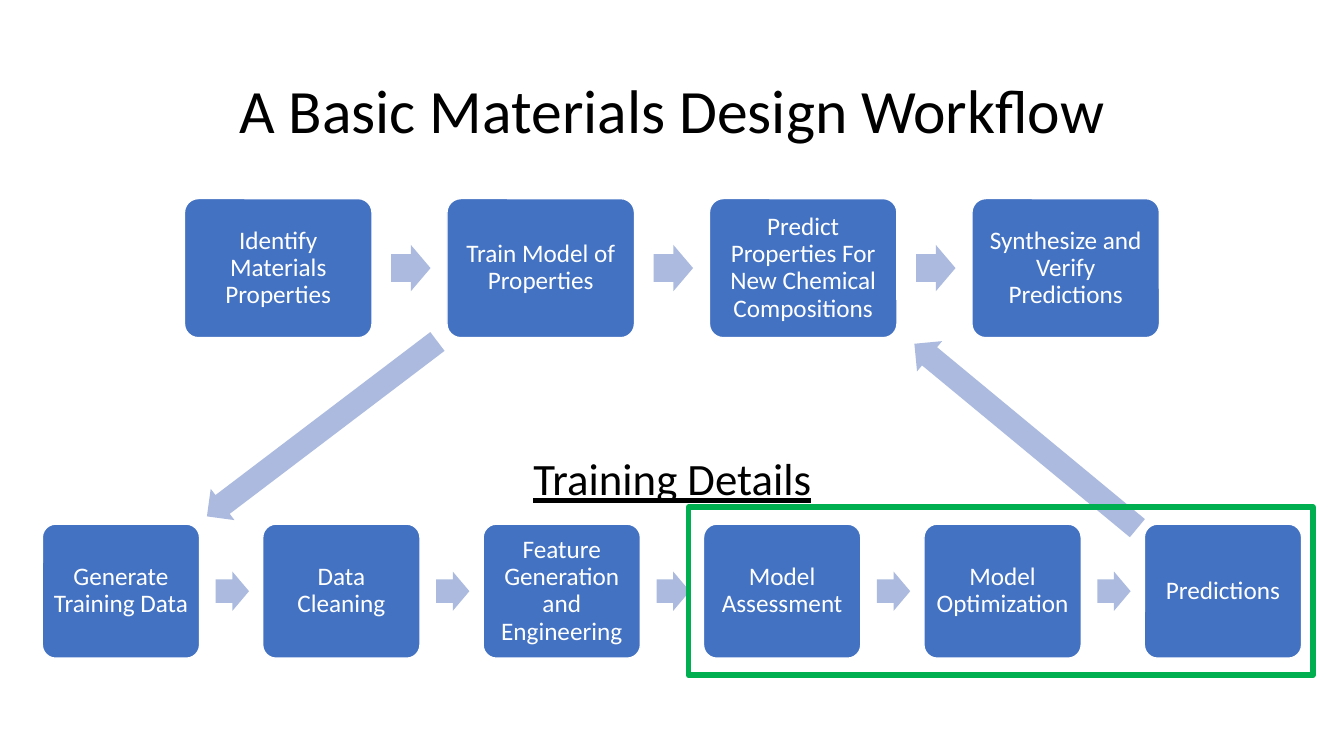
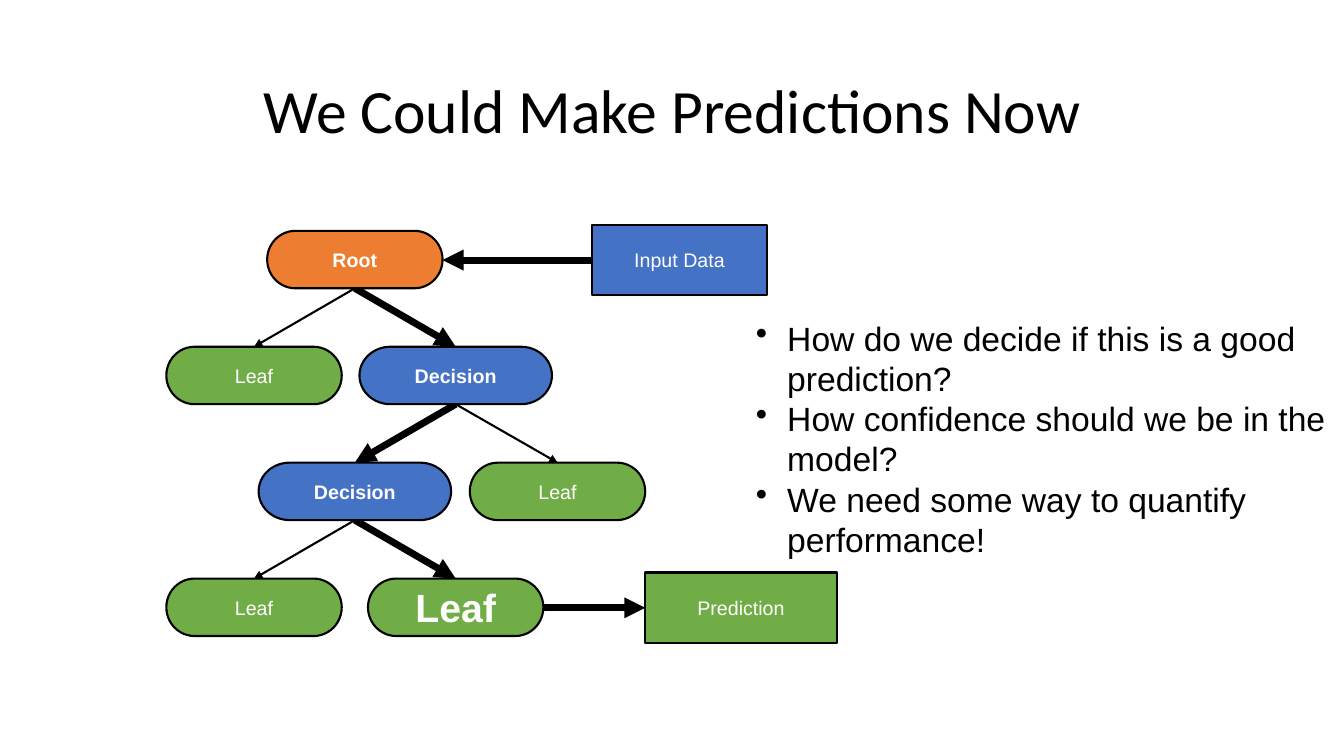
from lxml import etree
from pptx import Presentation
from pptx.dml.color import RGBColor
from pptx.enum.shapes import MSO_CONNECTOR, MSO_SHAPE
from pptx.enum.text import MSO_ANCHOR, PP_ALIGN
from pptx.oxml.ns import qn
from pptx.util import Inches, Pt

COLORS = {
    "black": "000000",
    "white": "FFFFFF",
    "step": "4372C3",
    "arrow": "ABBADE",
    "highlight": "00B050",
    "root": "ED7D31",
    "decision": "4472C4",
    "leaf": "70AD47",
}


def add_block(slide, kind, box, fill=None, line=None, weight=1.5):
    block = slide.shapes.add_shape(kind, *[Inches(length) for length in box])
    block.shadow.inherit = False
    if fill:
        block.fill.solid()
        block.fill.fore_color.rgb = RGBColor.from_string(COLORS[fill])
    else:
        block.fill.background()
    if line:
        block.line.color.rgb = RGBColor.from_string(COLORS[line])
        block.line.width = Pt(weight)
    else:
        block.line.fill.background()
    return block


def write(holder, lines, size, font="Arial", color="white", bold=False,
          align=PP_ALIGN.CENTER, anchor=MSO_ANCHOR.MIDDLE, spacing=1.0):
    frame = holder.text_frame
    frame.word_wrap = True
    frame.vertical_anchor = anchor
    frame.text = "\n".join(lines)
    for paragraph in frame.paragraphs:
        paragraph.alignment = align
        paragraph.line_spacing = spacing
        paragraph.font.name = font
        paragraph.font.size = Pt(size)
        paragraph.font.bold = bold
        paragraph.font.color.rgb = RGBColor.from_string(COLORS[color])
    return frame


deck = Presentation()
deck.slide_width = Inches(13.33)
deck.slide_height = Inches(7.5)

for heading in ("A Basic Materials Design Workflow", "We Could Make Predictions Now"):
    slide = deck.slides.add_slide(deck.slide_layouts[6])
    title = slide.shapes.add_textbox(Inches(0.92), Inches(0.4), Inches(11.5), Inches(1.45))
    write(title, [heading], 44, "Calibri", "black", spacing=0.9)
workflow, prediction = deck.slides

# left, left of last step, top, step width, step height, gap, arrow width, arrow height
ROWS = [
    ((1.83, 9.64, 1.97, 1.86, 1.38, 0.19, 0.39, 0.46),
     ["Identify Materials Properties", "Train Model of Properties",
      "Predict Properties For New Chemical Compositions",
      "Synthesize and Verify Predictions"]),
    ((0.42, 11.35, 5.2, 1.56, 1.33, 0.16, 0.33, 0.39),
     ["Generate Training Data", "Data Cleaning", "Feature Generation and Engineering",
      "Model Assessment", "Model Optimization", "Predictions"]),
]
arrows = []
for (left, last, top, width, height, gap, arrow_width, arrow_height), steps in ROWS:
    pitch = (last - left) / (len(steps) - 1)
    for index, label in enumerate(steps):
        x = left + index * pitch
        step = add_block(workflow, MSO_SHAPE.ROUNDED_RECTANGLE, (x, top, width, height),
                         "step", "white", 1)
        step.adjustments[0] = 0.1
        frame = write(step, [label], 18, "Calibri", spacing=0.9)
        frame.margin_left = frame.margin_right = Inches(0.07)
        frame.margin_top = frame.margin_bottom = Inches(0.07)
        if index < len(steps) - 1:
            arrows.append((x + width + gap, top + (height - arrow_height) / 2,
                           arrow_width, arrow_height, 0))

arrows += [(1.76, 4.06, 2.87, 0.39, 142.8), (8.74, 4.13, 2.87, 0.39, 219.6)]
for *box, angle in arrows:
    arrow = add_block(workflow, MSO_SHAPE.RIGHT_ARROW, box, "arrow")
    arrow.adjustments[0] = 0.6
    arrow.adjustments[1] = 0.5
    arrow.rotation = angle

details = workflow.shapes.add_textbox(Inches(0.92), Inches(4.05), Inches(11.5), Inches(1.45))
frame = write(details, ["Training Details"], 32, "Calibri", "black", spacing=0.9)
frame.paragraphs[0].font.underline = True
add_block(workflow, MSO_SHAPE.RECTANGLE, (6.83, 5.03, 6.19, 1.67), None, "highlight", 4)

THIN, THICK = 1.5, 5
COLUMNS = [2.52, 3.52, 4.52, 5.53]
TREE_TOP, LEVEL, NODE_HEIGHT = 2.29, 1.15, 0.57
# label, column, level, width, fill, text size, bold, branches as (column, weight)
TREE = [
    ("Root", 1, 0, 1.74, "root", 14, True, [(2, THICK), (0, THIN)]),
    ("Decision", 2, 1, 1.91, "decision", 14, True, [(3, THIN), (1, THICK)]),
    ("Leaf", 0, 1, 1.74, "leaf", 14, False, []),
    ("Leaf", 3, 2, 1.74, "leaf", 14, False, []),
    ("Decision", 1, 2, 1.91, "decision", 14, True, [(2, THICK), (0, THIN)]),
    ("Leaf", 2, 3, 1.74, "leaf", 28, True, []),
    ("Leaf", 0, 3, 1.74, "leaf", 14, False, []),
]
links = [(5.87, 2.58, 4.39, 2.58, THICK), (5.39, 6.03, 6.4, 6.03, THICK)]
nodes = []
for label, column, level, width, fill, size, bold, branches in TREE:
    center, top = COLUMNS[column], TREE_TOP + level * LEVEL
    nodes.append((MSO_SHAPE.FLOWCHART_TERMINATOR,
                  (center - width / 2, top, width, NODE_HEIGHT), label, fill, size, bold))
    for target, weight in branches:
        links.append((center, top + NODE_HEIGHT, COLUMNS[target], top + LEVEL, weight))
nodes += [
    (MSO_SHAPE.FLOWCHART_PROCESS, (5.87, 2.23, 1.74, 0.7), "Input Data", "decision", 14, False),
    (MSO_SHAPE.FLOWCHART_PROCESS, (6.4, 5.68, 1.9, 0.7), "Prediction", "leaf", 14, False),
]

for *ends, weight in links:
    link = prediction.shapes.add_connector(MSO_CONNECTOR.STRAIGHT,
                                           *[Inches(length) for length in ends])
    link.line.color.rgb = RGBColor.from_string(COLORS["black"])
    link.line.width = Pt(weight)
    etree.SubElement(link.line._get_or_add_ln(), qn("a:tailEnd"), type="triangle")
    etree.SubElement(link._element.spPr, qn("a:effectLst"))

for kind, box, label, fill, size, bold in nodes:
    node = add_block(prediction, kind, box, fill, "black")
    frame = write(node, [label], size, bold=bold)
    frame.margin_top = frame.margin_bottom = 0

questions = prediction.shapes.add_textbox(Inches(7.4), Inches(3.1), Inches(6.14), Inches(2.93))
frame = write(questions, [
    "How do we decide if this is a good prediction?",
    "How confidence should we be in the model?",
    "We need some way to quantify performance!",
], 24, color="black", align=PP_ALIGN.LEFT, anchor=MSO_ANCHOR.TOP)
for paragraph in frame.paragraphs:
    properties = paragraph._p.get_or_add_pPr()
    properties.set("marL", str(Inches(0.31)))
    properties.set("indent", str(-Inches(0.31)))
    bullet = etree.Element(qn("a:buChar"), char="•")
    properties.insert_element_before(bullet, "a:tabLst", "a:defRPr", "a:extLst")

deck.save("out.pptx")
